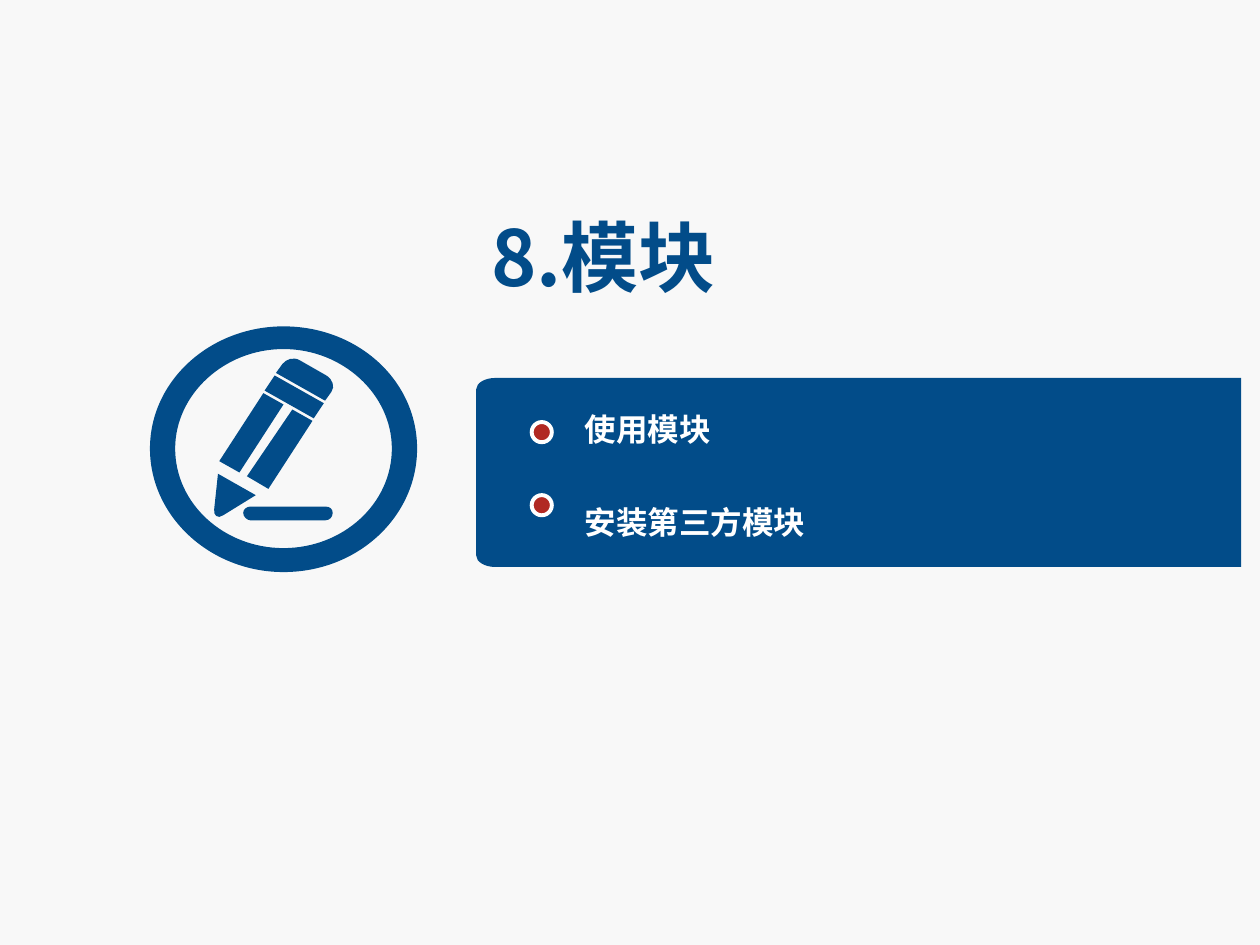
"""Build the section slide for the chapter on modules."""
from dataclasses import dataclass
from itertools import chain

from lxml.etree import SubElement
from pptx import Presentation
from pptx.dml.color import RGBColor
from pptx.enum.shapes import MSO_SHAPE as Preset
from pptx.enum.text import MSO_ANCHOR as Anchor, MSO_AUTO_SIZE as AutoSize, PP_ALIGN as Align
from pptx.oxml.ns import qn
from pptx.util import Inches, Pt


@dataclass(frozen=True)
class Theme:
    background: RGBColor = RGBColor.from_string("F8F8F8")
    blue: RGBColor = RGBColor.from_string("024C89")
    red: RGBColor = RGBColor.from_string("B12923")
    white: RGBColor = RGBColor.from_string("FFFFFF")
    font: str = "Noto Sans CJK SC"
    title_size: int = 44
    item_size: int = 18


theme = Theme()


def write_text(shape, text, *, size, color, line_spacing=1.0):
    """Write one bold, left-aligned line into a placeholder."""
    frame = shape.text_frame
    frame.word_wrap = True
    frame.auto_size = AutoSize.SHAPE_TO_FIT_TEXT
    frame.vertical_anchor = Anchor.TOP
    frame.margin_left = frame.margin_right = Inches(0.05)
    frame.margin_top = frame.margin_bottom = Inches(0.05)
    paragraph = frame.paragraphs[0]
    properties = paragraph._p.get_or_add_pPr()
    properties.set("marL", "0")
    properties.set("indent", "0")
    SubElement(properties, qn("a:buNone"))
    paragraph.alignment = Align.LEFT
    paragraph.space_before = Pt(0)
    paragraph.line_spacing = line_spacing
    run = paragraph.add_run()
    run.text = text
    run.font.name = theme.font
    run.font.size = Pt(size)
    run.font.bold = True
    run.font.color.rgb = color
    SubElement(run.font._element, qn("a:ea")).set("typeface", theme.font)


def draw_outline(shapes, contours, color):
    """Draw contours whose entries are line ends (x, y) or cubic curves of six numbers."""
    builder = shapes.build_freeform(*map(Inches, contours[0][0]), scale=1.0)
    for index, (start, *segments) in enumerate(contours):
        if index:
            builder.move_to(*map(Inches, start))
        ends = [tuple(map(Inches, segment[-2:])) for segment in segments]
        builder.add_line_segments(ends, close=True)
    shape = builder.convert_to_shape()
    shape.shadow.inherit = False
    shape.fill.solid()
    shape.fill.fore_color.rgb = color
    shape.line.fill.background()

    lines = list(shape._element.iter(qn("a:lnTo")))
    for line, segment in zip(lines, chain.from_iterable(contour[1:] for contour in contours)):
        if len(segment) == 6:
            line.tag = qn("a:cubicBezTo")
            line.remove(line[0])
            for x, y in zip(segment[::2], segment[1::2]):
                point = SubElement(line, qn("a:pt"))
                point.set("x", str(Inches(x) - shape.left))
                point.set("y", str(Inches(y) - shape.top))
    return shape


presentation = Presentation()
presentation.slide_width, presentation.slide_height = Inches(10), Inches(7.5)
slide = presentation.slides.add_slide(presentation.slide_layouts[3])
slide.background.fill.solid()
slide.background.fill.fore_color.rgb = theme.background

title, *items = slide.placeholders
title.left, title.top, title.width, title.height = map(Inches, (3.85, 1.61, 5.94, 0.96))
write_text(title, "8.模块", size=theme.title_size, color=theme.blue)

panel_contour = [(3.93, 3), (9.85, 3), (9.85, 4.5), (3.93, 4.5),
                 (3.85, 4.5, 3.78, 4.46, 3.78, 4.41), (3.78, 3.09),
                 (3.78, 3.04, 3.85, 3, 3.93, 3)]
panel = draw_outline(slide.shapes, [panel_contour], theme.blue)
title._element.addprevious(panel._element)

item_rows = [("使用模块", 3.2, 3.35, 1.0), ("安装第三方模块", 3.79, 3.93, 1.5)]
for item, (text, text_top, marker_top, line_spacing) in zip(items, item_rows):
    item.left, item.top, item.width, item.height = map(Inches, (4.59, text_top, 4.21, 0.45))
    write_text(item, text, size=theme.item_size, color=theme.white, line_spacing=line_spacing)
    marker = slide.shapes.add_shape(
        Preset.OVAL, Inches(4.22), Inches(marker_top), Inches(0.16), Inches(0.16))
    marker.shadow.inherit = False
    marker.fill.solid()
    marker.fill.fore_color.rgb = theme.red
    marker.line.color.rgb = theme.white
    marker.line.width = Pt(2.25)
    items[0]._element.addprevious(marker._element)

underline = [(1.99, 4.02), (2.58, 4.02), (2.62, 4.02, 2.64, 4.04, 2.64, 4.07),
             (2.64, 4.1, 2.62, 4.13, 2.58, 4.13), (1.99, 4.13),
             (1.96, 4.13, 1.93, 4.1, 1.93, 4.07), (1.93, 4.04, 1.96, 4.02, 1.99, 4.02)]
right_barrel = [(1.96, 3.78), (2.32, 3.25), (2.48, 3.34), (2.13, 3.88), (1.96, 3.78)]
left_barrel = [(1.74, 3.66), (2.09, 3.12), (2.25, 3.21), (1.9, 3.75), (1.74, 3.66)]
tip = [(1.7, 4.04), (1.73, 3.76), (2.03, 3.93), (1.77, 4.09),
       (1.73, 4.12, 1.69, 4.09, 1.7, 4.04)]
band = [(2.18, 2.98), (2.57, 3.2), (2.49, 3.32), (2.1, 3.1), (2.18, 2.98)]
eraser = [(2.24, 2.89), (2.27, 2.85, 2.33, 2.83, 2.38, 2.86), (2.59, 2.98),
          (2.64, 3.01, 2.66, 3.07, 2.63, 3.11), (2.58, 3.18), (2.19, 2.96), (2.24, 2.89)]
outer_ring = [(2.25, 2.59), (2.84, 2.59, 3.31, 3.02, 3.31, 3.56),
              (3.31, 4.1, 2.84, 4.54, 2.25, 4.54), (1.67, 4.54, 1.19, 4.1, 1.19, 3.56),
              (1.19, 3.02, 1.67, 2.59, 2.25, 2.59)]
inner_ring = [(2.25, 2.77), (2.72, 2.77, 3.11, 3.13, 3.11, 3.56),
              (3.11, 4, 2.72, 4.35, 2.25, 4.35), (1.78, 4.35, 1.39, 4, 1.39, 3.56),
              (1.39, 3.13, 1.78, 2.77, 2.25, 2.77)]
pencil_badge = [underline, right_barrel, left_barrel, tip, band, eraser, outer_ring, inner_ring]
draw_outline(slide.shapes, pencil_badge, theme.blue)

presentation.save("out.pptx")
